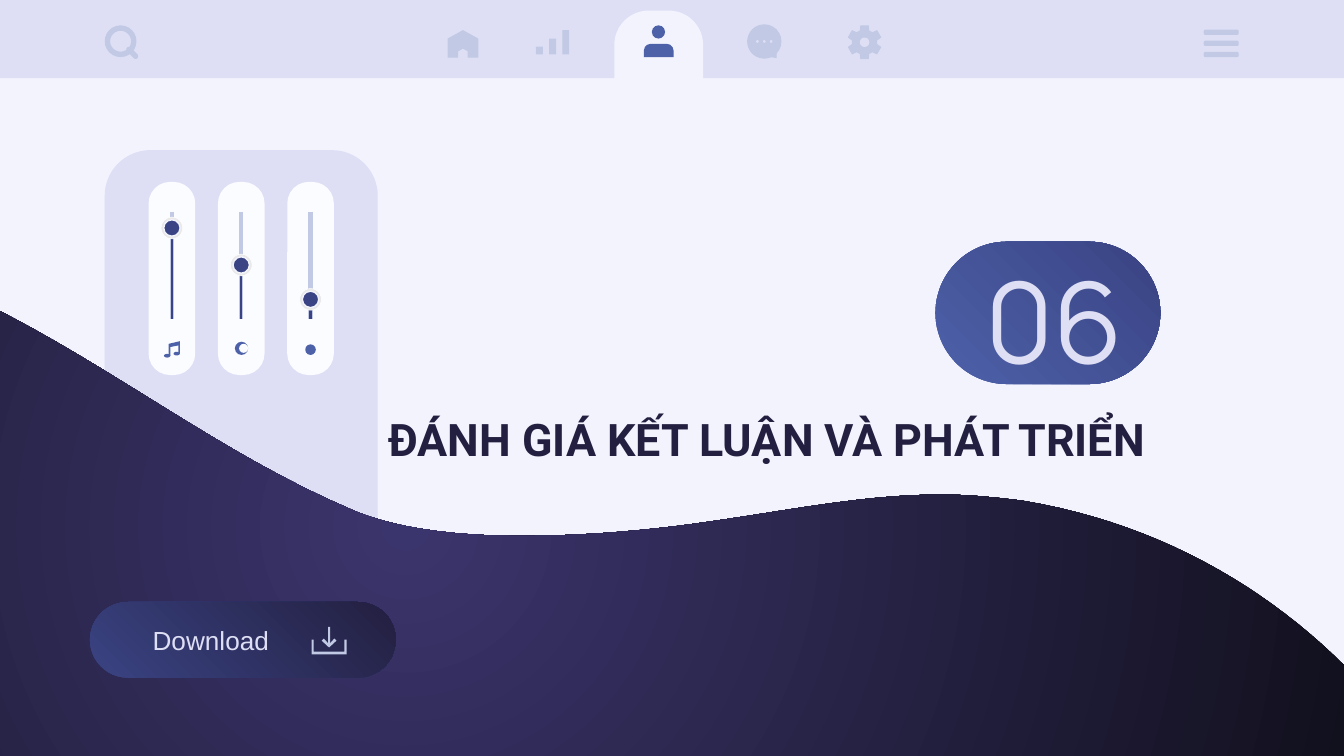
import math

import lxml.etree
import pptx
import pptx.dml.color
import pptx.enum.shapes
import pptx.enum.text
import pptx.oxml
import pptx.oxml.ns
import pptx.util

Cm = pptx.util.Cm
Pt = pptx.util.Pt
RGBColor = pptx.dml.color.RGBColor
Kind = pptx.enum.shapes.MSO_SHAPE
Anchor = pptx.enum.text.MSO_ANCHOR
Align = pptx.enum.text.PP_ALIGN

COLORS = {
    "background": "F2F3FD", "lavender": "DEDFF5", "icon": "C1C9E4",
    "blue": "4D61A9", "navy": "3A4383", "ink": "231F40",
    "violet": "3B356D", "black": "0C0B13", "white": "FFFFFF",
    "card": "FBFCFF", "rim": "E9E9E9",
}
RGB = {name: RGBColor.from_string(value) for name, value in COLORS.items()}

presentation = pptx.Presentation()
presentation.slide_width = Cm(25.4)
presentation.slide_height = Cm(14.29)
slide = presentation.slides.add_slide(presentation.slide_layouts[0])
shapes = slide.shapes
slide.background.fill.solid()
slide.background.fill.fore_color.rgb = RGB["background"]


def paint(shape, *names):
    """Fill with one color, or with a diagonal gradient of two; no line, no shadow."""
    shape.shadow.inherit = False
    shape.line.fill.background()
    if len(names) == 1:
        shape.fill.solid()
        shape.fill.fore_color.rgb = RGB[names[0]]
    else:
        shape.fill.gradient()
        shape.fill.gradient_angle = 45
        for stop, name in zip(shape.fill.gradient_stops, names):
            stop.color.rgb = RGB[name]
    return shape


def add(kind, box, *names, adjustments=()):
    """Add a preset shape from a (left, top, width, height) box, or an outline from points."""
    if kind == "outline":
        points = [(Cm(x), Cm(y)) for x, y in box]
        builder = shapes.build_freeform(*points[0])
        builder.add_line_segments(points[1:], close=True)
        return paint(builder.convert_to_shape(), *names)
    shape = shapes.add_shape(kind, *map(Cm, box))
    for index, value in enumerate(adjustments):
        shape.adjustments[index] = value
    return paint(shape, *names)


# Side panel, top bar and active tab
add(Kind.ROUND_2_SAME_RECTANGLE, (1.98, 2.84, 5.16, 8.13), "lavender", adjustments=(0.167, 0))
add(Kind.RECTANGLE, (0, 0, 25.4, 1.48), "lavender")
add(Kind.ROUND_2_SAME_RECTANGLE, (11.61, 0.2, 1.68, 1.3), "background", adjustments=(0.5, 0))

# Person
add(Kind.OVAL, (12.32, 0.48, 0.25, 0.25), "blue")
add(Kind.ROUND_2_SAME_RECTANGLE, (12.17, 0.83, 0.56, 0.25), "blue", adjustments=(0.5, 0))

# House
add("outline", [(8.75, 0.57), (8.46, 0.73), (8.46, 1.09), (8.66, 1.09), (8.66, 0.97),
                (8.75, 0.92), (8.84, 0.97), (8.84, 1.09), (9.04, 1.09), (9.04, 0.73)], "icon")

# Rising bars
for index, height in enumerate((0.15, 0.3, 0.46)):
    add(Kind.RECTANGLE, (10.13 + 0.25 * index, 1.03 - height, 0.13, height), "icon")

# Speech bubble
add(Kind.OVAL, (14.12, 0.46, 0.65, 0.65), "icon")
add("outline", [(14.5, 1.07), (14.68, 1.1), (14.68, 0.95)], "icon")
for index in range(3):
    add(Kind.OVAL, (14.29 + 0.13 * index, 0.76, 0.05, 0.05), "lavender")

# Gear
gear = []
for tooth in range(6):
    for offset, radius in ((-22, 0.24), (-14, 0.33), (14, 0.33), (22, 0.24)):
        angle = math.radians(60 * tooth - 90 + offset)
        gear.append((16.34 + radius * math.cos(angle), 0.8 + radius * math.sin(angle)))
add("outline", gear, "icon")
add(Kind.OVAL, (16.25, 0.71, 0.18, 0.18), "lavender")

# Menu
for index in range(3):
    add(Kind.ROUNDED_RECTANGLE, (22.75, 0.56 + 0.21 * index, 0.66, 0.1), "icon",
        adjustments=(0.3,))

# Magnifier
add(Kind.DONUT, (1.98, 0.48, 0.6, 0.6), "icon", adjustments=(0.17,))
handle = add(Kind.ROUNDED_RECTANGLE, (2.36, 0.95, 0.28, 0.1), "icon", adjustments=(0.5,))
handle.rotation = 45

# Wave: cubic curves, each as two control points and an end point
wave_curves = [
    ((-5.36, 4.34), (-4.8, 4.37), (-4.22, 4.47)),
    ((0.18, 5.11), (2.97, 8.08), (6.68, 9.65)),
    ((7.54, 10.01), (8.69, 10.13), (9.86, 10.13)),
    ((11.13, 10.13), (12.4, 10.01), (13.41, 9.86)),
    ((14.91, 9.65), (16.33, 9.35), (17.78, 9.35)),
    ((18.29, 9.35), (18.82, 9.4), (19.35, 9.47)),
    ((22.1, 9.93), (24.26, 11.3), (25.81, 13)),
    ((26.52, 13.82), (27.13, 14.68), (27.61, 15.57)),
]
wave_points = [(-12.27, 15.57), (-12.27, 5.87), (-9, 4.7), (-5.92, 4.34)]
for first, second, end in wave_curves:
    start = wave_points[-1]
    for step in range(1, 25):
        t = step / 24
        weights = ((1 - t) ** 3, 3 * t * (1 - t) ** 2, 3 * t * t * (1 - t), t ** 3)
        curve = (start, first, second, end)
        wave_points.append(tuple(
            sum(weight * point[axis] for weight, point in zip(weights, curve))
            for axis in (0, 1)))
wave = add("outline", wave_points, "violet", "black")
linear = wave.element.spPr.find(".//" + pptx.oxml.ns.qn("a:lin"))
linear.getparent().replace(linear, pptx.oxml.parse_xml(
    '<a:path %s path="circle"><a:fillToRect l="50000" t="50000" r="50000" b="50000"/></a:path>'
    % pptx.oxml.ns.nsdecls("a")))

# Number badge and download button
add(Kind.ROUNDED_RECTANGLE, (17.68, 4.57, 4.25, 2.69), "blue", "navy", adjustments=(0.5,))
add(Kind.ROUNDED_RECTANGLE, (1.7, 11.38, 5.78, 1.43), "navy", "ink", adjustments=(0.5,))
add(Kind.RECTANGLE, (6.2, 11.85, 0.04, 0.36), "icon")
add("outline", [(5.89, 12.09), (5.89, 12.37), (6.55, 12.37), (6.55, 12.09),
                (6.51, 12.09), (6.51, 12.32), (5.93, 12.32), (5.93, 12.09)], "icon")
add("outline", [(6.12, 12.07), (6.08, 12.11), (6.22, 12.24),
                (6.36, 12.11), (6.32, 12.07), (6.22, 12.18)], "icon")

# Texts
title, number = slide.placeholders
label = shapes.add_textbox(0, 0, 0, 0)
for shape, box, text, font_name, size, color, bold, align, anchor in (
    (title, (4.6, 7.54, 17.5, 2.11), "ĐÁNH GIÁ KẾT LUẬN VÀ PHÁT TRIỂN ",
     "Roboto", 24, "ink", True, Align.RIGHT, Anchor.TOP),
    (number, (18.21, 4.85, 3.43, 2.34), "06",
     "Manrope", 60, "lavender", False, Align.CENTER, Anchor.MIDDLE),
    (label, (2.08, 11.53, 3.81, 1.14), "Download",
     "Arial", 14, "lavender", False, Align.CENTER, Anchor.MIDDLE),
):
    shapes.element.append(shape.element)
    shape.left, shape.top, shape.width, shape.height = map(Cm, box)
    frame = shape.text_frame
    frame.word_wrap = True
    frame.auto_size = pptx.enum.text.MSO_AUTO_SIZE.NONE
    frame.vertical_anchor = anchor
    frame.margin_left = frame.margin_right = Cm(0.25)
    frame.margin_top = frame.margin_bottom = Cm(0.25)
    frame.text = text
    paragraph = frame.paragraphs[0]
    paragraph.alignment = align
    paragraph.space_before = Pt(0)
    paragraph.font.name = font_name
    paragraph.font.size = Pt(size)
    paragraph.font.bold = bold
    paragraph.font.color.rgb = RGB[color]

# Sliders: card, track, active part and knob
for index, knob_y in enumerate((4.31, 5.01, 5.66)):
    x = 3.25 + 1.31 * index
    add(Kind.ROUNDED_RECTANGLE, (x - 0.44, 3.44, 0.88, 3.65), "card", adjustments=(0.46,))
    for top, color, width in ((4, "icon", 2.27), (knob_y, "navy", 1.18)):
        track = shapes.add_connector(pptx.enum.shapes.MSO_CONNECTOR.STRAIGHT,
                                     Cm(x), Cm(top), Cm(x), Cm(6.03))
        track.line.color.rgb = RGB[color]
        track.line.width = Pt(width)
        lxml.etree.SubElement(track.element.spPr, pptx.oxml.ns.qn("a:effectLst"))
    for size, fill, rim, width in ((0.41, "rim", "white", 0.27),
                                   (0.31, "navy", "background", 0.75)):
        knob = add(Kind.OVAL, (x - size / 2, knob_y - size / 2, size, size), fill)
        knob.line.color.rgb = RGB[rim]
        knob.line.width = Pt(width)

# Slider symbols: note, moon, dot
add("outline", [(3.19, 6.5), (3.4, 6.45), (3.4, 6.68), (3.37, 6.68),
                (3.37, 6.53), (3.22, 6.56), (3.22, 6.73), (3.19, 6.73)], "blue")
add(Kind.OVAL, (3.1, 6.69, 0.12, 0.07), "blue")
add(Kind.OVAL, (3.28, 6.65, 0.12, 0.07), "blue")
add(Kind.OVAL, (4.44, 6.46, 0.25, 0.25), "blue")
add(Kind.OVAL, (4.52, 6.5, 0.17, 0.17), "card")
add(Kind.OVAL, (5.77, 6.51, 0.2, 0.2), "blue")

presentation.save("out.pptx")
